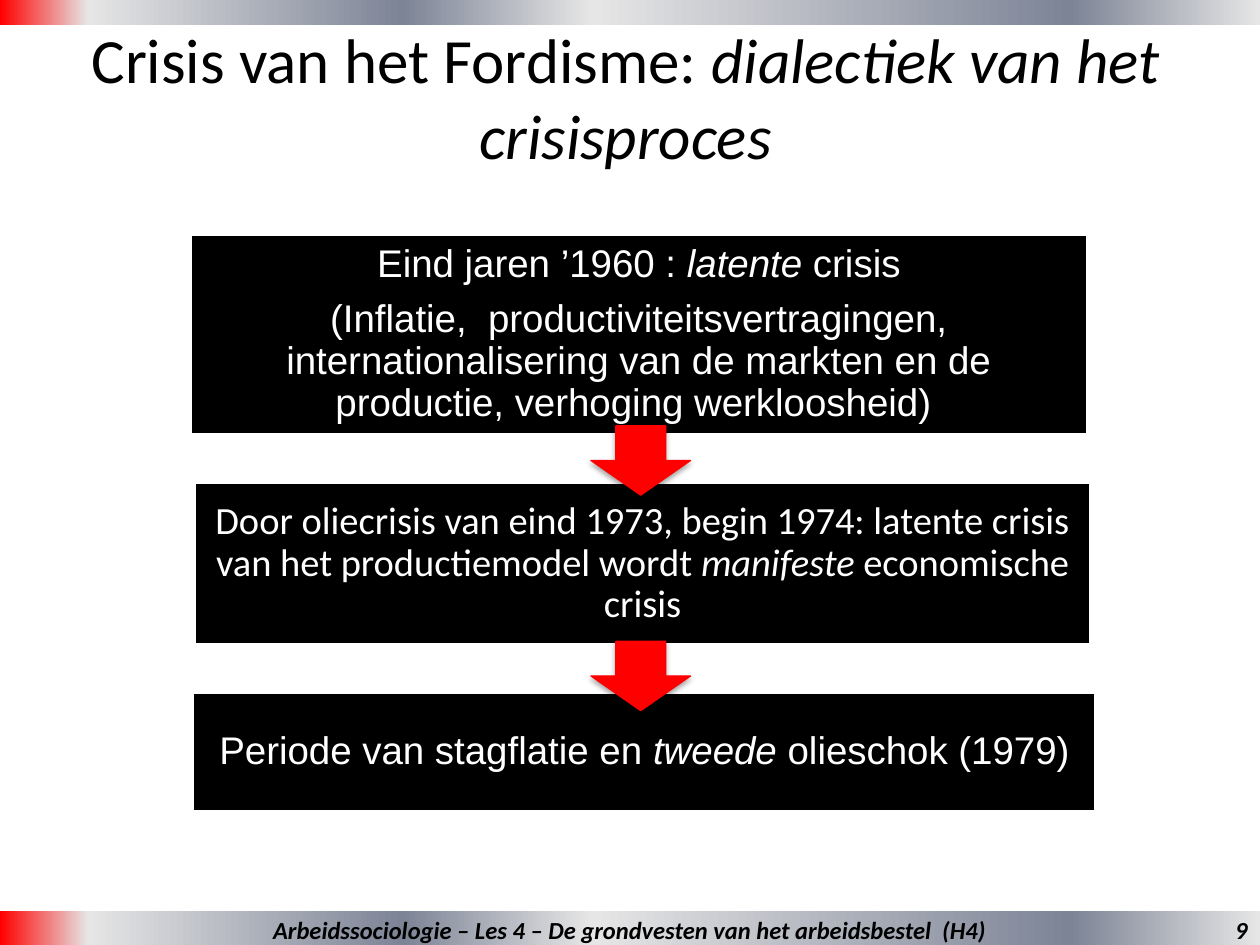
import pptx
import pptx.util
import pptx.dml.color
import pptx.enum.shapes
import pptx.enum.text
import pptx.oxml
import pptx.oxml.ns

Inches = pptx.util.Inches
Pt = pptx.util.Pt
RGBColor = pptx.dml.color.RGBColor
Shape = pptx.enum.shapes.MSO_SHAPE
Align = pptx.enum.text.PP_ALIGN

BLACK = RGBColor(0x00, 0x00, 0x00)
WHITE = RGBColor(0xFF, 0xFF, 0xFF)
RED = RGBColor(0xFF, 0x00, 0x00)
SILVER = RGBColor(0xE6, 0xE6, 0xE6)
SLATE = RGBColor(0x7D, 0x84, 0x96)
BAND_STOPS = [(0, RED), (7, SILVER), (32, SLATE), (47, SILVER), (85, SLATE), (100, SILVER)]

WIDTH, HEIGHT = 10, 7.5

# Paragraphs are lists of (text, italic) runs.
TITLE = [[("Crisis van het Fordisme: ", False), ("dialectiek van het crisisproces", True)]]
FOOTER = [[("Arbeidssociologie – Les 4 – De grondvesten van het arbeidsbestel  (H4)", True)]]
PAGE_NUMBER = [[("9", True)]]

# Each stage: position and size, font, paragraphs.
STAGES = [
    ((1.51, 1.86, 7.12, 1.59), "Arial", [
        [("Eind jaren ’1960 : ", False), ("latente", True), (" crisis", False)],
        [("(Inflatie,  productiviteitsvertragingen, internationalisering van de "
          "markten en de productie, verhoging werkloosheid) ", False)],
    ]),
    ((1.54, 3.83, 7.12, 1.29), "Calibri", [
        [("Door oliecrisis van eind 1973, begin 1974: latente crisis van het "
          "productiemodel wordt ", False), ("manifeste", True), (" economische crisis", False)],
    ]),
    ((1.53, 5.49, 7.17, 0.95), "Arial", [
        [("Periode van stagflatie en ", False), ("tweede", True), (" olieschok (1979)", False)],
    ]),
]
ARROW_TOPS = [3.38, 5.09]
ARROW_WIDTH, ARROW_HEIGHT = 0.79, 0.55
ARROW_LEFT = 4.69


def write_text(shape, paragraphs, size, font="Calibri", color=BLACK, bold=False,
               align=Align.CENTER, anchor=pptx.enum.text.MSO_ANCHOR.MIDDLE,
               line_spacing=None, space_after=None, inset=None):
    frame = shape.text_frame
    frame.word_wrap = True
    frame.auto_size = pptx.enum.text.MSO_AUTO_SIZE.NONE
    frame.vertical_anchor = anchor
    if inset is not None:
        frame.margin_left = frame.margin_right = Inches(inset)
        frame.margin_top = frame.margin_bottom = Inches(inset)
    for index, runs in enumerate(paragraphs):
        paragraph = frame.paragraphs[0] if index == 0 else frame.add_paragraph()
        paragraph.alignment = align
        paragraph.line_spacing = line_spacing
        paragraph.space_after = space_after
        for text, italic in runs:
            run = paragraph.add_run()
            run.text = text
            run.font.name = font
            run.font.size = Pt(size)
            run.font.bold = bold
            run.font.italic = italic
            run.font.color.rgb = color


def add_filled_shape(slide, kind, box, color, line_color=None, line_width=0):
    shape = slide.shapes.add_shape(kind, *map(Inches, box))
    shape.shadow.inherit = False
    shape.fill.solid()
    shape.fill.fore_color.rgb = color
    if line_color is None:
        shape.line.fill.background()
    else:
        shape.line.color.rgb = line_color
        shape.line.width = Pt(line_width)
    return shape


def add_gradient_band(slide, top, height):
    band = add_filled_shape(slide, Shape.RECTANGLE, (0, top, WIDTH, height), SILVER)
    stops = "".join(
        f'<a:gs pos="{share * 1000}"><a:srgbClr val="{color}"/></a:gs>'
        for share, color in BAND_STOPS)
    gradient = pptx.oxml.parse_xml(
        f'<a:gradFill {pptx.oxml.ns.nsdecls("a")} rotWithShape="1">'
        f'<a:gsLst>{stops}</a:gsLst><a:lin ang="0" scaled="0"/></a:gradFill>')
    properties = band._element.spPr
    properties.replace(properties.find(pptx.oxml.ns.qn("a:solidFill")), gradient)
    return band


def add_soft_shadow(shape):
    effects = shape._element.spPr.find(pptx.oxml.ns.qn("a:effectLst"))
    effects.append(pptx.oxml.parse_xml(
        f'<a:outerShdw {pptx.oxml.ns.nsdecls("a")} blurRad="{Pt(3.1)}" dist="{Pt(1.8)}" '
        'dir="5400000" rotWithShape="0"><a:srgbClr val="000000">'
        '<a:alpha val="35000"/></a:srgbClr></a:outerShdw>'))


def main():
    presentation = pptx.Presentation()
    presentation.slide_width = Inches(WIDTH)
    presentation.slide_height = Inches(HEIGHT)
    slide = presentation.slides.add_slide(presentation.slide_layouts[5])

    title = slide.shapes.title
    title.left, title.top, title.width, title.height = map(Inches, (0.2, 0.3, 9.53, 0.93))
    write_text(title, TITLE, 36)

    footer = add_gradient_band(slide, 7.23, 0.29)
    write_text(footer, FOOTER, 14, bold=True)
    number = slide.shapes.add_textbox(*map(Inches, (7.17, 7.21, 2.83, 0.29)))
    write_text(number, PAGE_NUMBER, 14, bold=True, align=Align.RIGHT,
               anchor=pptx.enum.text.MSO_ANCHOR.TOP)
    add_gradient_band(slide, 0, 0.2)

    for box, font, paragraphs in STAGES:
        stage = add_filled_shape(slide, Shape.RECTANGLE, box, BLACK, WHITE, 2)
        write_text(stage, paragraphs, 22, font=font, color=WHITE, line_spacing=0.9,
                   space_after=Pt(7.7), inset=0.09)

    for top in ARROW_TOPS:
        arrow = add_filled_shape(slide, Shape.DOWN_ARROW,
                                 (ARROW_LEFT, top, ARROW_WIDTH, ARROW_HEIGHT), RED, RED, 0.75)
        add_soft_shadow(arrow)

    presentation.save("out.pptx")


if __name__ == "__main__":
    main()
